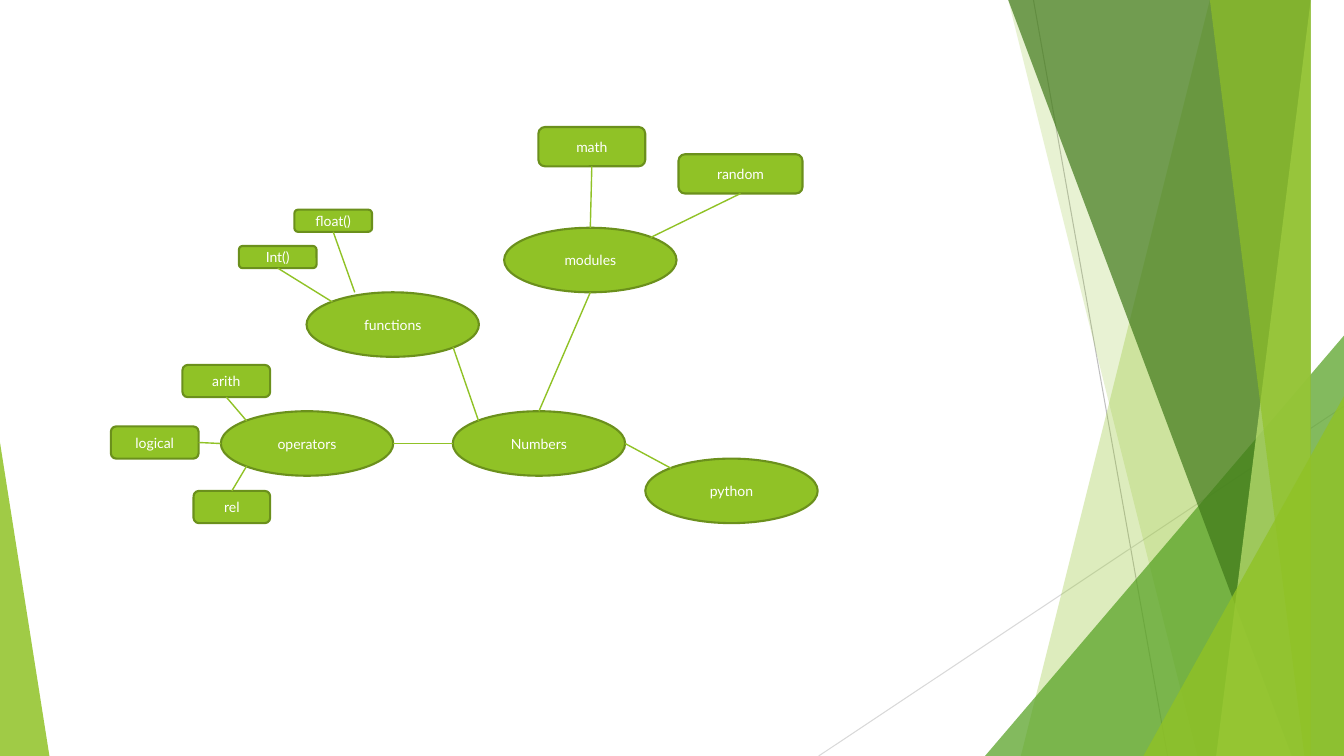
from lxml.etree import SubElement
from pptx import Presentation
from pptx.dml.color import RGBColor
from pptx.enum.shapes import MSO_CONNECTOR as LINK, MSO_SHAPE as SHAPE
from pptx.enum.text import MSO_ANCHOR, PP_ALIGN
from pptx.oxml.ns import qn
from pptx.util import Inches, Pt

WIDTH, HEIGHT = 13.33, 7.5
GREEN, DARK_GREEN = "90C226", "6B901C"


def paint(shape, fill=None, opacity=100, line=None, weight=1):
    if fill:
        shape.fill.solid()
        shape.fill.fore_color.rgb = RGBColor.from_string(fill)
        color = shape.element.spPr.find(qn("a:solidFill"))[0]
        if opacity < 100:
            SubElement(color, qn("a:alpha"), val=str(opacity * 1000))
    if line:
        shape.line.color.rgb = RGBColor.from_string(line)
        shape.line.width = Pt(weight)
    else:
        shape.line.fill.background()
    SubElement(shape.element.spPr, qn("a:effectLst"))


def write(shape, text, size=10, font="Lato", color="FFFFFF", align=PP_ALIGN.CENTER):
    frame = shape.text_frame
    frame.word_wrap = True
    frame.vertical_anchor = MSO_ANCHOR.MIDDLE
    paragraph = frame.paragraphs[0]
    paragraph.alignment = align
    run = paragraph.add_run()
    run.text = text
    run.font.size = Pt(size)
    run.font.name = font
    run.font.color.rgb = RGBColor.from_string(color)


prs = Presentation()
prs.slide_width, prs.slide_height = Inches(WIDTH), Inches(HEIGHT)
shapes = prs.slides.add_slide(prs.slide_layouts[6]).shapes

for start_x, start_y, end_x, color in [
    (10.25, 0, 11.58, "BFBFBF"),
    (WIDTH, 4.03, 8.12, "D9D9D9"),
]:
    ray = shapes.add_connector(
        LINK.STRAIGHT, Inches(start_x), Inches(start_y), Inches(end_x), Inches(HEIGHT)
    )
    paint(ray, line=color, weight=0.75)

facets = [
    ("band", (12.28, 10.04), GREEN, 30),
    ("band", (10.5, 11.83), GREEN, 20),
    ("triangle", (9.77, 3.33, 3.56, 1), "54A021", 72),
    ("band", (10.21, 12.91), "3F7819", 70),
    ("band", (13.03, 11.92), "C0E474", 70),
    ("band", (11.96, 13.18), GREEN, 65),
    ("triangle", (11.34, 3.93, 1.99, 1), GREEN, 80),
    ("triangle", (0, 4.39, 0.49, 0), GREEN, 85),
]
for kind, geometry, color, opacity in facets:
    if kind == "band":
        top_x, bottom_x = geometry
        outline = shapes.build_freeform(top_x, 0, scale=Inches(1))
        outline.add_line_segments([(WIDTH, 0), (WIDTH, HEIGHT), (bottom_x, HEIGHT)])
        facet = outline.convert_to_shape()
    else:
        left, top, width, apex = geometry
        facet = shapes.add_shape(
            SHAPE.ISOSCELES_TRIANGLE,
            Inches(left), Inches(top), Inches(width), Inches(HEIGHT - top),
        )
        facet.adjustments[0] = apex
    paint(facet, color, opacity)

topics = {
    "python": (6.4, 4.55),
    "Numbers": (4.49, 4.08),
    "operators": (2.19, 4.08),
    "functions": (3.04, 2.9),
    "modules": (5, 2.26),
}
details = {
    "math": (5.34, 1.26, 1.06, 0.39),
    "random": (6.73, 1.53, 1.23, 0.39),
    "Int()": (2.37, 2.44, 0.77, 0.22),
    "float()": (2.92, 2.08, 0.77, 0.22),
    "rel": (1.92, 4.87, 0.76, 0.32),
    "arith": (1.81, 3.62, 0.87, 0.32),
    "logical": (1.1, 4.23, 0.87, 0.32),
}
nodes = {name: (*corner, 1.71, 0.64) for name, corner in topics.items()} | details
for name, box in nodes.items():
    outline = SHAPE.OVAL if name in topics else SHAPE.ROUNDED_RECTANGLE
    node = shapes.add_shape(outline, *map(Inches, box))
    paint(node, GREEN, line=DARK_GREEN, weight=1.5)
    write(node, name)

sites = {
    "top": (0.5, 0),
    "bottom": (0.5, 1),
    "left": (0, 0.5),
    "right": (1, 0.5),
    "top left": (0.15, 0.15),
    "top right": (0.85, 0.15),
    "bottom left": (0.15, 0.85),
    "bottom right": (0.85, 0.85),
    "upper rim": (0.28, 0),
}
links = [
    ("Numbers", "right", "python", "top left"),
    ("operators", "right", "Numbers", "left"),
    ("functions", "bottom right", "Numbers", "top left"),
    ("modules", "bottom", "Numbers", "top"),
    ("math", "bottom", "modules", "top"),
    ("random", "bottom", "modules", "top right"),
    ("float()", "bottom", "functions", "upper rim"),
    ("Int()", "bottom", "functions", "top left"),
    ("arith", "bottom", "operators", "top left"),
    ("logical", "right", "operators", "left"),
    ("rel", "top", "operators", "bottom left"),
]
for source, source_site, target, target_site in links:
    ends = []
    for name, site in [(source, source_site), (target, target_site)]:
        left, top, width, height = nodes[name]
        across, down = sites[site]
        ends += [Inches(left + across * width), Inches(top + down * height)]
    link = shapes.add_connector(LINK.STRAIGHT, *ends)
    paint(link, line=GREEN)

prs.save("out.pptx")
